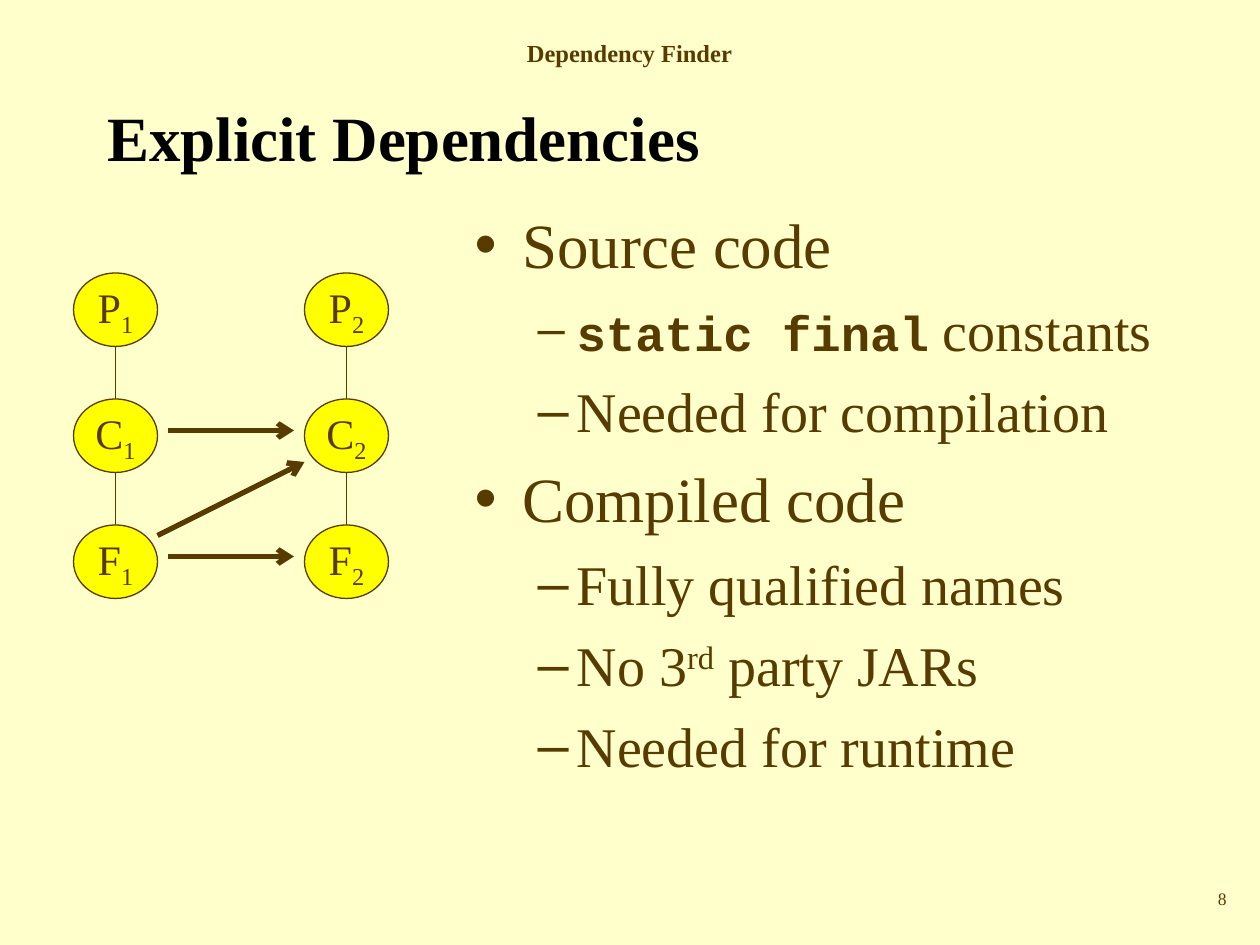
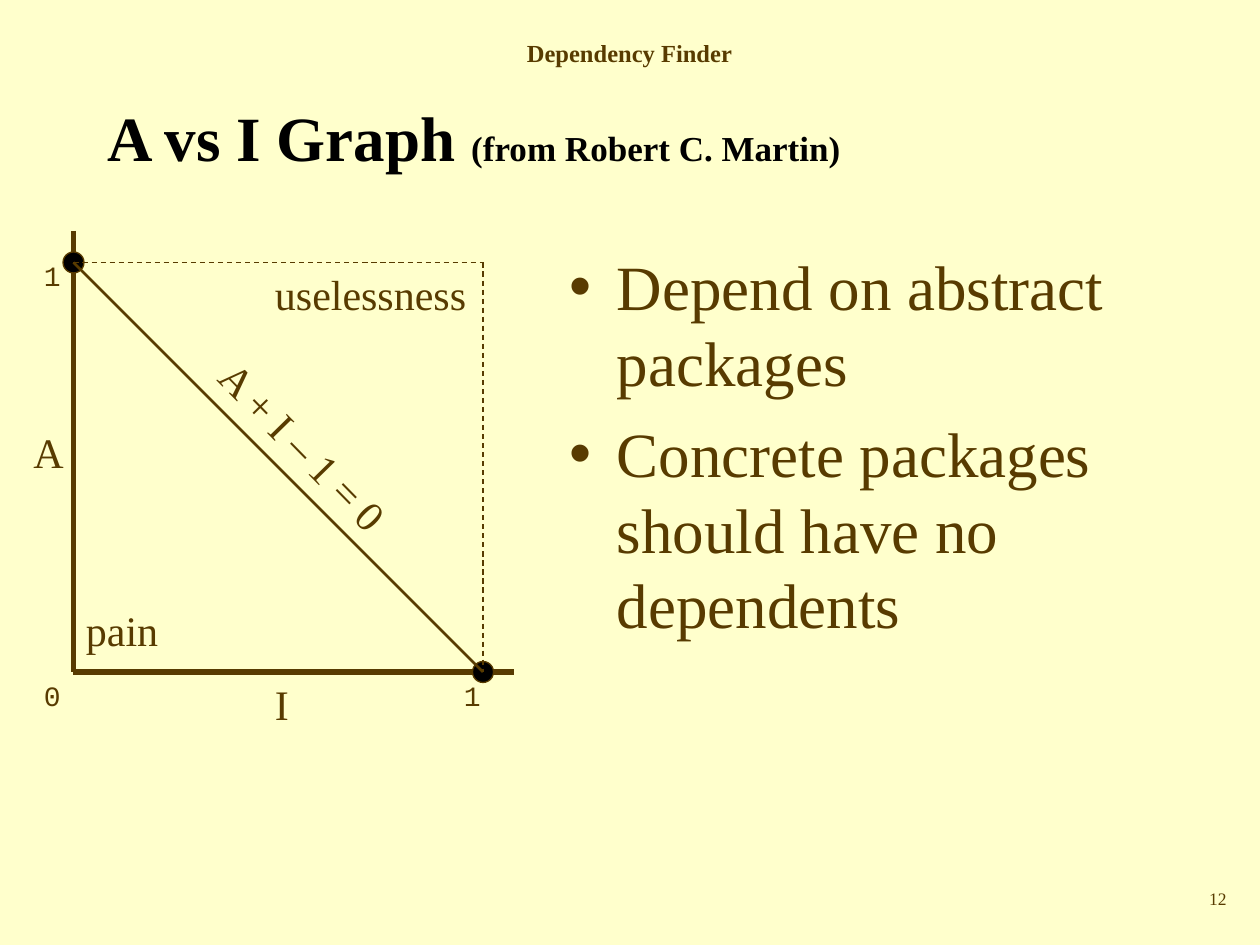
from lxml.etree import SubElement
from pptx import Presentation
from pptx.dml.color import RGBColor
from pptx.enum.dml import MSO_LINE_DASH_STYLE as Dash
from pptx.enum.shapes import MSO_CONNECTOR as Connector, MSO_SHAPE as Shape
from pptx.enum.text import MSO_ANCHOR as Anchor, MSO_AUTO_SIZE as AutoSize, PP_ALIGN as Align
from pptx.oxml.ns import qn
from pptx.util import Inches, Pt

CREAM = RGBColor(0xFF, 0xFF, 0xCC)
BROWN = RGBColor(0x58, 0x3B, 0x00)
YELLOW = RGBColor(0xFF, 0xFF, 0x00)
BLACK = RGBColor(0, 0, 0)
SERIF, MONO = "Times New Roman", "Courier New"

# The grid has 120 columns and 90 rows, twelve to the inch
COLS, ROWS = 120, 90

# Bullet, size, space before, left margin and hanging indent of each list level
LEVELS = [("•", 36, 9, 0.38, 0.38), ("–", 32, 8, 0.81, 0.31)]


def u(cells):
    return Inches(cells / 12)


def place(s, left, top, width, height):
    s.left, s.top, s.width, s.height = u(left), u(top), u(width), u(height)


def add_run(p, text, size, color=BROWN, font=SERIF, bold=False, baseline=0):
    r = p.add_run()
    r.text = text
    r.font.size, r.font.name, r.font.bold = Pt(size), font, bold
    r.font.color.rgb = color
    if baseline:
        r._r.get_or_add_rPr().set("baseline", str(baseline * 1000))


def add_label(s, text, box, size=24, font=SERIF, bold=False, align=Align.LEFT, rotation=0):
    tb = s.shapes.add_textbox(*map(u, box))
    tb.rotation = rotation
    tb.text_frame.word_wrap = align == Align.RIGHT
    p = tb.text_frame.paragraphs[0]
    p.alignment = align
    add_run(p, text, size, font=font, bold=bold)


def add_line(s, x1, y1, x2, y2, weight=0.75, dashed=False, arrow=False):
    c = s.shapes.add_connector(Connector.STRAIGHT, u(x1), u(y1), u(x2), u(y2))
    c.line.color.rgb, c.line.width = BROWN, Pt(weight)
    if dashed:
        c.line.dash_style = Dash.DASH
    if arrow:
        SubElement(c.line._get_or_add_ln(), qn("a:tailEnd"), type="arrow")
    SubElement(c._element.spPr, qn("a:effectLst"))


def add_ellipse(s, cx, cy, width, height, fill):
    sp = s.shapes.add_shape(Shape.OVAL, u(cx - width / 2), u(cy - height / 2),
                            u(width), u(height))
    sp.shadow.inherit = False
    sp.fill.solid()
    sp.fill.fore_color.rgb = fill
    sp.line.color.rgb, sp.line.width = BROWN, Pt(0.75)
    return sp


def add_node(s, cx, cy, letter, index):
    tf = add_ellipse(s, cx, cy, 8, 7, YELLOW).text_frame
    tf.word_wrap, tf.vertical_anchor = False, Anchor.MIDDLE
    p = tf.paragraphs[0]
    p.alignment = Align.CENTER
    add_run(p, letter, 24)
    add_run(p, str(index), 24, baseline=-25)


def fill_list(body, box, items):
    """Each item is a level and its runs; a run is text and optional font settings."""
    place(body, *box)
    tf = body.text_frame
    tf.auto_size = AutoSize.NONE
    for i, (level, runs) in enumerate(items):
        p = tf.paragraphs[0] if i == 0 else tf.add_paragraph()
        bullet, size, before, margin, hang = LEVELS[level]
        p.level = level
        pPr = p._p.get_or_add_pPr()
        pPr.set("marL", str(Inches(margin)))
        pPr.set("indent", str(-Inches(hang)))
        SubElement(pPr, qn("a:buChar"), char=bullet)
        p.space_before = Pt(before if i else 0)
        for text, style in runs:
            add_run(p, text, **{"size": size, **style})


def new_slide(prs, number, title_runs):
    """Add a slide with the shared header, title and page number."""
    s = prs.slides.add_slide(prs.slide_layouts[1])
    add_label(s, "Dependency Finder", (49, 3, 22, 4), size=14, bold=True)
    place(s.shapes.title, 9, 9, 102, 8)
    tf = s.shapes.title.text_frame
    tf.auto_size, tf.vertical_anchor = AutoSize.NONE, Anchor.MIDDLE
    p = tf.paragraphs[0]
    p.alignment = Align.LEFT
    for text, size in title_runs:
        add_run(p, text, size, BLACK, bold=True)
    add_label(s, str(number), (86, 84, 32, 4), size=10, align=Align.RIGHT)
    return s


def dependencies_slide(prs):
    s = new_slide(prs, 8, [("Explicit Dependencies", 36)])
    fill_list(s.placeholders[1], (44, 19, 67, 61), [
        (0, [("Source code", {})]),
        (1, [("static final", {"size": 28, "font": MONO, "bold": True}),
             (" constants", {})]),
        (1, [("Needed for compilation", {})]),
        (0, [("Compiled code", {})]),
        (1, [("Fully qualified names", {})]),
        (1, [("No 3", {}), ("rd", {"baseline": 30}), (" party JARs", {})]),
        (1, [("Needed for runtime", {})]),
    ])

    # Package, class and feature chains
    top, step = 29.5, 12
    for index, cx in enumerate((11, 33), start=1):
        add_line(s, cx, top, cx, top + 2 * step)
        for row, letter in enumerate("PCF"):
            add_node(s, cx, top + row * step, letter, index)

    # Dependencies between the chains
    for arrow in ((16, 41, 28, 41), (15, 51, 29, 44), (16, 53, 28, 53)):
        add_line(s, *arrow, weight=3, arrow=True)


def graph_slide(prs):
    s = new_slide(prs, 12, [("A vs I Graph ", 36), ("(from Robert C. Martin)", 20)])
    fill_list(s.placeholders[1], (53, 23, 61, 57), [
        (0, [("Depend on abstract packages", {})]),
        (0, [("Concrete packages should have no dependents", {})]),
    ])

    # Axes, end points, main sequence and unit square
    left, bottom, unit, overrun = 7, 64, 39, 3
    right, top = left + unit, bottom - unit
    add_line(s, left, top - overrun, left, bottom, weight=3)
    add_line(s, left, bottom, right + overrun, bottom, weight=3)
    for cx, cy in ((left, top), (right, bottom)):
        add_ellipse(s, cx, cy, 2, 2, BLACK)
    add_line(s, left, top, right, bottom, weight=1.5)
    add_line(s, left, top, right, top, dashed=True)
    add_line(s, right, top, right, bottom, dashed=True)

    # Zones and axis names
    add_label(s, "uselessness", (25, top, 21, 6))
    add_label(s, "pain", (left, 57, 10, 6))
    add_label(s, "A + I – 1 = 0", (17.4, 39.6, 23.2, 6), rotation=45.6)
    add_label(s, "A", (2, 40, 5.5, 6))
    add_label(s, "I", (25, bottom, 4, 6))

    # Axis values
    for text, x, y in (("0", 3, bottom), ("1", 43, bottom), ("1", 3, top - 1)):
        add_label(s, text, (x, y, 4, 4.4), size=16, font=MONO)


def main():
    prs = Presentation()
    prs.slide_width, prs.slide_height = u(COLS), u(ROWS)
    background = prs.slide_master.background.fill
    background.solid()
    background.fore_color.rgb = CREAM
    dependencies_slide(prs)
    graph_slide(prs)
    prs.save("out.pptx")


if __name__ == "__main__":
    main()
